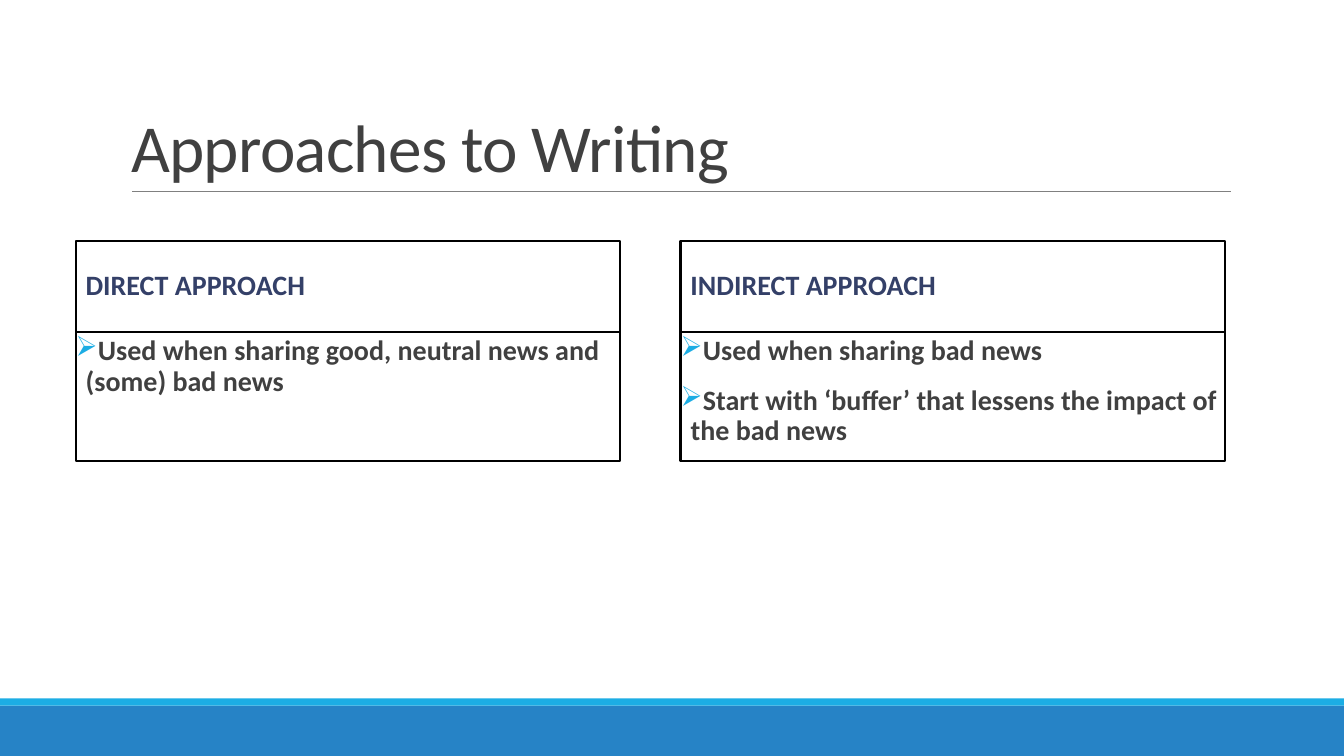
import pptx
import pptx.util
import pptx.dml.color
import pptx.enum.shapes
import pptx.enum.text
import pptx.oxml.ns
from lxml import etree

PX = 9144  # 100 px to the inch
ANCHOR = pptx.enum.text.MSO_ANCHOR
RECT = pptx.enum.shapes.MSO_SHAPE.RECTANGLE


def rgb(value):
    return pptx.dml.color.RGBColor.from_string(value)


def add_run(p, text, size, color, bold=False):
    r = p.add_run()
    r.text = text
    r.font.name = "Calibri"
    r.font.size = pptx.util.Pt(size)
    r.font.bold = bold
    r.font.color.rgb = rgb(color)
    return r


prs = pptx.Presentation()
prs.slide_width, prs.slide_height = 1333 * PX, 750 * PX
s = prs.slides.add_slide(prs.slide_layouts[5])

# Footer bands
for top, height, color in [(700, 50, "2683C6"), (693, 7, "1CADE4")]:
    sp = s.shapes.add_shape(RECT, 0, top * PX, 1333 * PX, height * PX)
    sp.shadow.inherit = False
    sp.fill.solid()
    sp.fill.fore_color.rgb = rgb(color)
    sp.line.fill.background()

# Rule under the title
rule = s.shapes.add_connector(pptx.enum.shapes.MSO_CONNECTOR.STRAIGHT,
                              131 * PX, 190 * PX, 1221 * PX, 190 * PX)
rule.line.color.rgb = rgb("808080")
rule.line.width = pptx.util.Pt(0.5)
etree.SubElement(rule._element.spPr, pptx.oxml.ns.qn("a:effectLst"))

# Title
title = s.shapes.title
title.left, title.top, title.width, title.height = 120 * PX, 31 * PX, 1100 * PX, 159 * PX
tf = title.text_frame
tf.word_wrap = True
tf.auto_size = pptx.enum.text.MSO_AUTO_SIZE.NONE
tf.vertical_anchor = ANCHOR.BOTTOM
p = tf.paragraphs[0]
p.alignment = pptx.enum.text.PP_ALIGN.LEFT
p.line_spacing = 0.85
r = add_run(p, "Approaches to Writing", 48, "404040")
r._r.get_or_add_rPr().set("spc", "-50")

# Two columns, each a heading box above a bulleted box
columns = [
    ("DIRECT APPROACH", ["Used when sharing good, neutral news and (some) bad news"]),
    ("INDIRECT APPROACH", ["Used when sharing bad news",
                           "Start with ‘buffer’ that lessens the impact of the bad news"]),
]
for col, (heading, points) in enumerate(columns):
    left = 75 + 600 * col
    for top, height, lines, bulleted in [(239, 90, [heading], False), (329, 128, points, True)]:
        sp = s.shapes.add_shape(RECT, left * PX, top * PX, 540 * PX, height * PX)
        sp.shadow.inherit = False
        sp.fill.background()
        sp.line.color.rgb = rgb("000000")
        sp.line.width = pptx.util.Pt(1.5)
        tf = sp.text_frame
        tf.word_wrap = True
        tf.vertical_anchor = ANCHOR.TOP if bulleted else ANCHOR.MIDDLE
        if bulleted:
            tf.margin_left = tf.margin_right = 0
        for i, line in enumerate(lines):
            p = tf.add_paragraph() if i else tf.paragraphs[0]
            p.alignment = pptx.enum.text.PP_ALIGN.LEFT
            p.line_spacing = 0.9
            p.space_before = pptx.util.Pt(12 if i else 0)
            p.space_after = pptx.util.Pt(2)
            if bulleted:
                pPr = p._p.get_or_add_pPr()
                pPr.set("marL", str(10 * PX))
                pPr.set("indent", str(-10 * PX))
                bu_clr = etree.SubElement(pPr, pptx.oxml.ns.qn("a:buClr"))
                etree.SubElement(bu_clr, pptx.oxml.ns.qn("a:srgbClr"), val="1CADE4")
                etree.SubElement(pPr, pptx.oxml.ns.qn("a:buChar"), char="➢")
            add_run(p, line, 20, "404040" if bulleted else "344068", True)

prs.save("out.pptx")
